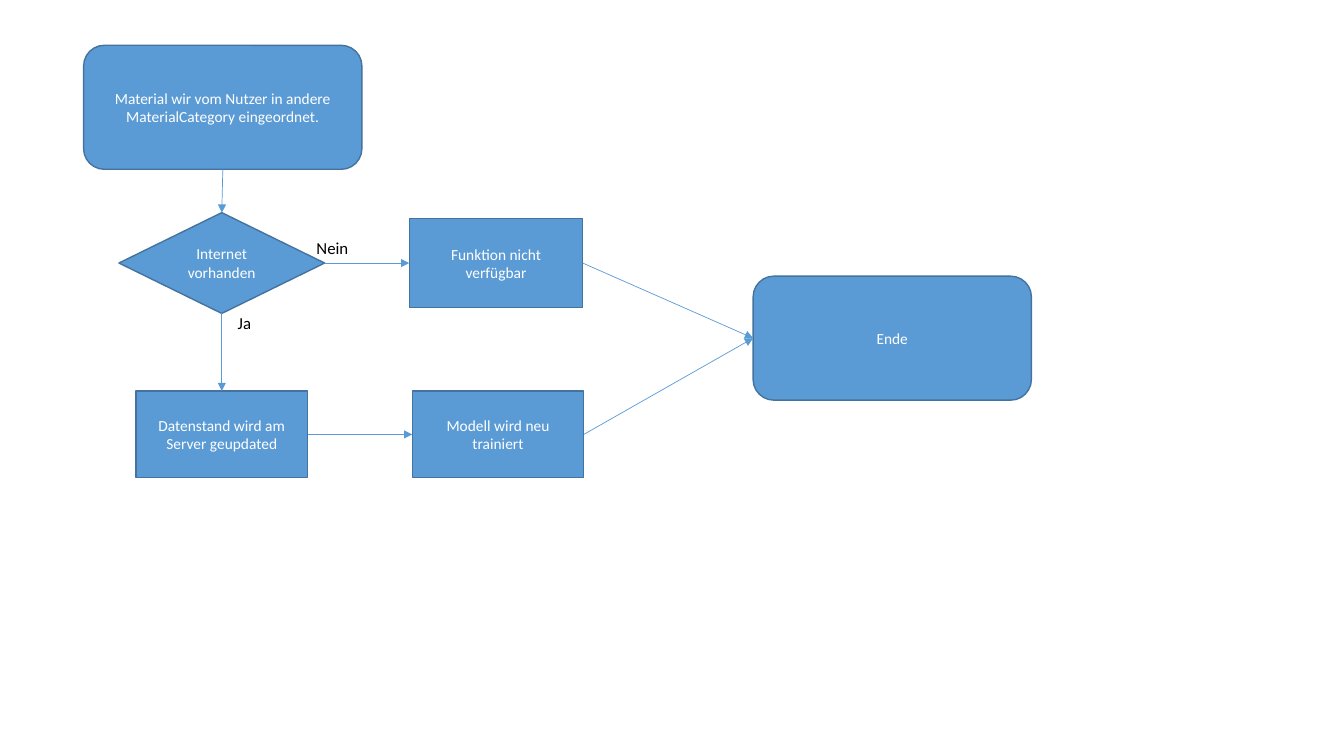
from dataclasses import dataclass
from enum import IntEnum

from pptx import Presentation
from pptx.dml.color import RGBColor
from pptx.enum.shapes import MSO_CONNECTOR, MSO_SHAPE as Preset
from pptx.enum.text import MSO_ANCHOR, MSO_AUTO_SIZE, PP_ALIGN
from pptx.oxml.ns import qn
from pptx.shapes.autoshape import Shape
from pptx.slide import Slide
from pptx.text.text import TextFrame
from pptx.util import Inches, Pt
from lxml.etree import SubElement


@dataclass(frozen=True)
class Theme:
    """Colours, font and sizes of the flowchart."""
    fill: RGBColor = RGBColor(0x5B, 0x9B, 0xD5)
    outline: RGBColor = RGBColor(0x43, 0x73, 0x9E)
    step_text: RGBColor = RGBColor(0xFF, 0xFF, 0xFF)
    label_text: RGBColor = RGBColor(0, 0, 0)
    font: str = "Calibri"
    step_size: Pt = Pt(11)
    label_size: Pt = Pt(12)
    outline_width: Pt = Pt(1)
    arrow_width: Pt = Pt(0.5)


class Side(IntEnum):
    """Connection sites shared by all step shapes."""
    TOP = 0
    LEFT = 1
    BOTTOM = 2
    RIGHT = 3


@dataclass(frozen=True)
class Step:
    """A flowchart step, measured in inches."""
    text: str
    preset: Preset
    left: float
    top: float
    width: float
    height: float


@dataclass(frozen=True)
class Arrow:
    """An arrow between the sides of two named steps."""
    source: str
    source_side: Side
    target: str
    target_side: Side


@dataclass(frozen=True)
class Label:
    """A branch label, measured in inches."""
    text: str
    left: float
    top: float
    width: float
    height: float = 0.3


THEME = Theme()
TERMINAL_SIZE = (2.76, 1.23)
PROCESS_SIZE = (1.7, 0.86)
LOWER_ROW = 3.88

STEPS = {
    "start": Step("Material wir vom Nutzer in andere MaterialCategory eingeordnet.",
                  Preset.ROUNDED_RECTANGLE, 0.83, 0.45, *TERMINAL_SIZE),
    "update": Step("Datenstand wird am Server geupdated",
                   Preset.RECTANGLE, 1.35, LOWER_ROW, *PROCESS_SIZE),
    "unavailable": Step("Funktion nicht verfügbar",
                        Preset.RECTANGLE, 4.06, 2.17, 1.72, 0.88),
    "internet": Step("Internet vorhanden",
                     Preset.FLOWCHART_DECISION, 1.18, 2.11, 2.04, 1),
    "training": Step("Modell wird neu trainiert",
                     Preset.RECTANGLE, 4.09, LOWER_ROW, *PROCESS_SIZE),
    "end": Step("Ende", Preset.ROUNDED_RECTANGLE, 7.47, 2.74, *TERMINAL_SIZE),
}

ARROWS = [
    Arrow("start", Side.BOTTOM, "internet", Side.TOP),
    Arrow("internet", Side.BOTTOM, "update", Side.TOP),
    Arrow("internet", Side.RIGHT, "unavailable", Side.LEFT),
    Arrow("update", Side.RIGHT, "training", Side.LEFT),
    Arrow("training", Side.RIGHT, "end", Side.LEFT),
    Arrow("unavailable", Side.RIGHT, "end", Side.LEFT),
]

LABELS = [Label("Nein", 3.04, 2.31, 0.52), Label("Ja", 2.26, 3.05, 0.34)]


def set_text(frame: TextFrame, text: str, size: Pt, color: RGBColor) -> None:
    """Fill a text frame and format its run."""
    frame.text = text
    font = frame.paragraphs[0].runs[0].font
    font.name = THEME.font
    font.size = size
    font.color.rgb = color


def draw_step(slide: Slide, step: Step) -> Shape:
    """Draw one step with centred text."""
    shape = slide.shapes.add_shape(step.preset, Inches(step.left), Inches(step.top),
                                   Inches(step.width), Inches(step.height))
    shape.shadow.inherit = False
    shape.fill.solid()
    shape.fill.fore_color.rgb = THEME.fill
    shape.line.color.rgb = THEME.outline
    shape.line.width = THEME.outline_width
    frame = shape.text_frame
    frame.word_wrap = True
    frame.vertical_anchor = MSO_ANCHOR.MIDDLE
    set_text(frame, step.text, THEME.step_size, THEME.step_text)
    frame.paragraphs[0].alignment = PP_ALIGN.CENTER
    return shape


def draw_arrow(slide: Slide, arrow: Arrow, shapes: dict[str, Shape]) -> None:
    """Join two steps with an attached arrow."""
    connector = slide.shapes.add_connector(MSO_CONNECTOR.STRAIGHT, 0, 0, 0, 0)
    connector.begin_connect(shapes[arrow.source], arrow.source_side.value)
    connector.end_connect(shapes[arrow.target], arrow.target_side.value)
    connector.line.color.rgb = THEME.fill
    connector.line.width = THEME.arrow_width
    SubElement(connector.line._get_or_add_ln(), qn("a:tailEnd"), type="triangle")
    SubElement(connector._element.spPr, qn("a:effectLst"))


def draw_label(slide: Slide, label: Label) -> None:
    """Write a branch label beside its arrow."""
    box = slide.shapes.add_textbox(Inches(label.left), Inches(label.top),
                                   Inches(label.width), Inches(label.height))
    frame = box.text_frame
    frame.word_wrap = False
    frame.auto_size = MSO_AUTO_SIZE.SHAPE_TO_FIT_TEXT
    set_text(frame, label.text, THEME.label_size, THEME.label_text)


def main() -> None:
    """Build and save the flowchart slide."""
    presentation = Presentation()
    presentation.slide_width = Inches(13.33)
    presentation.slide_height = Inches(7.5)
    slide = presentation.slides.add_slide(presentation.slide_layouts[6])
    shapes = {name: draw_step(slide, step) for name, step in STEPS.items()}
    for arrow in ARROWS:
        draw_arrow(slide, arrow, shapes)
    for label in LABELS:
        draw_label(slide, label)
    presentation.save("out.pptx")


main()
